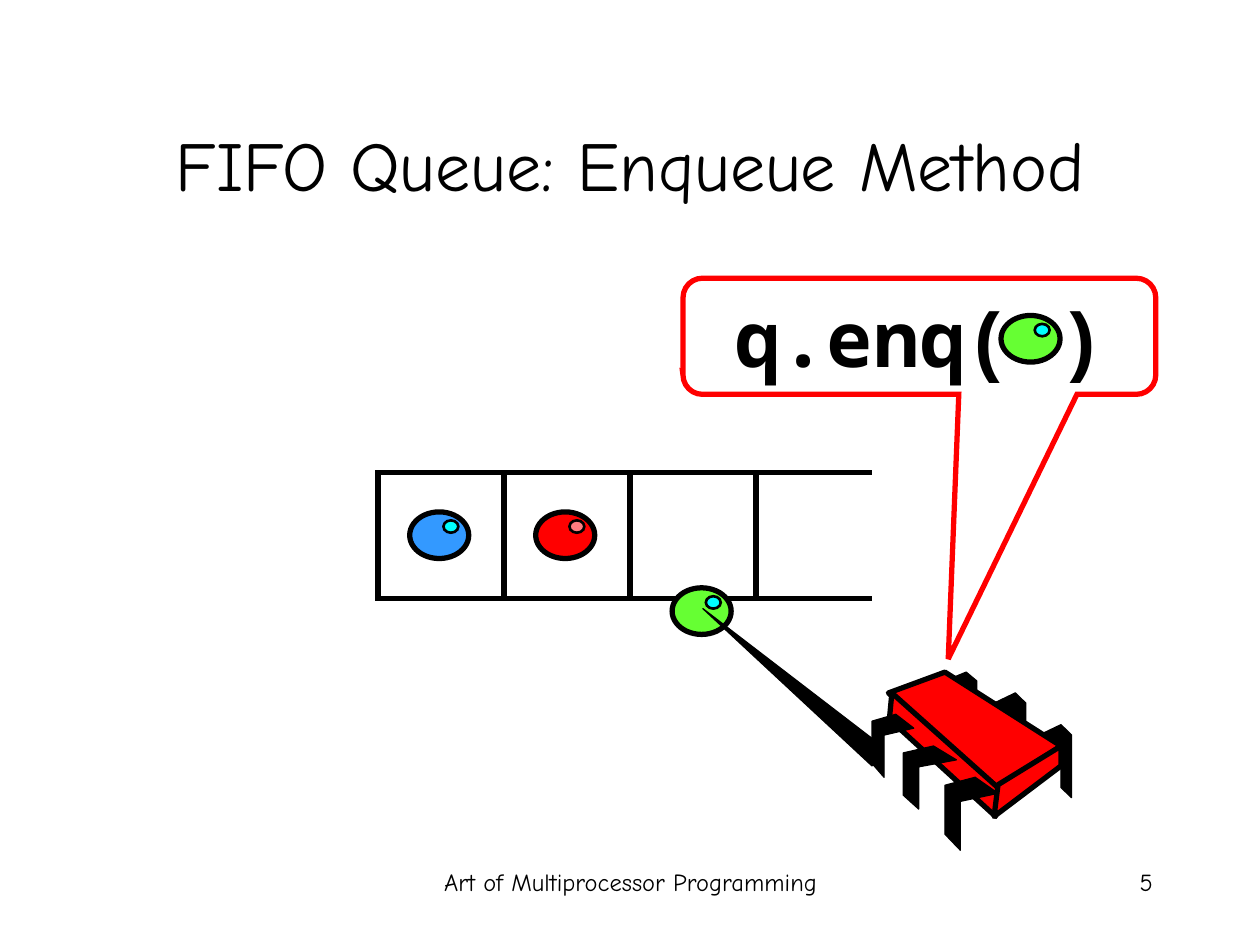
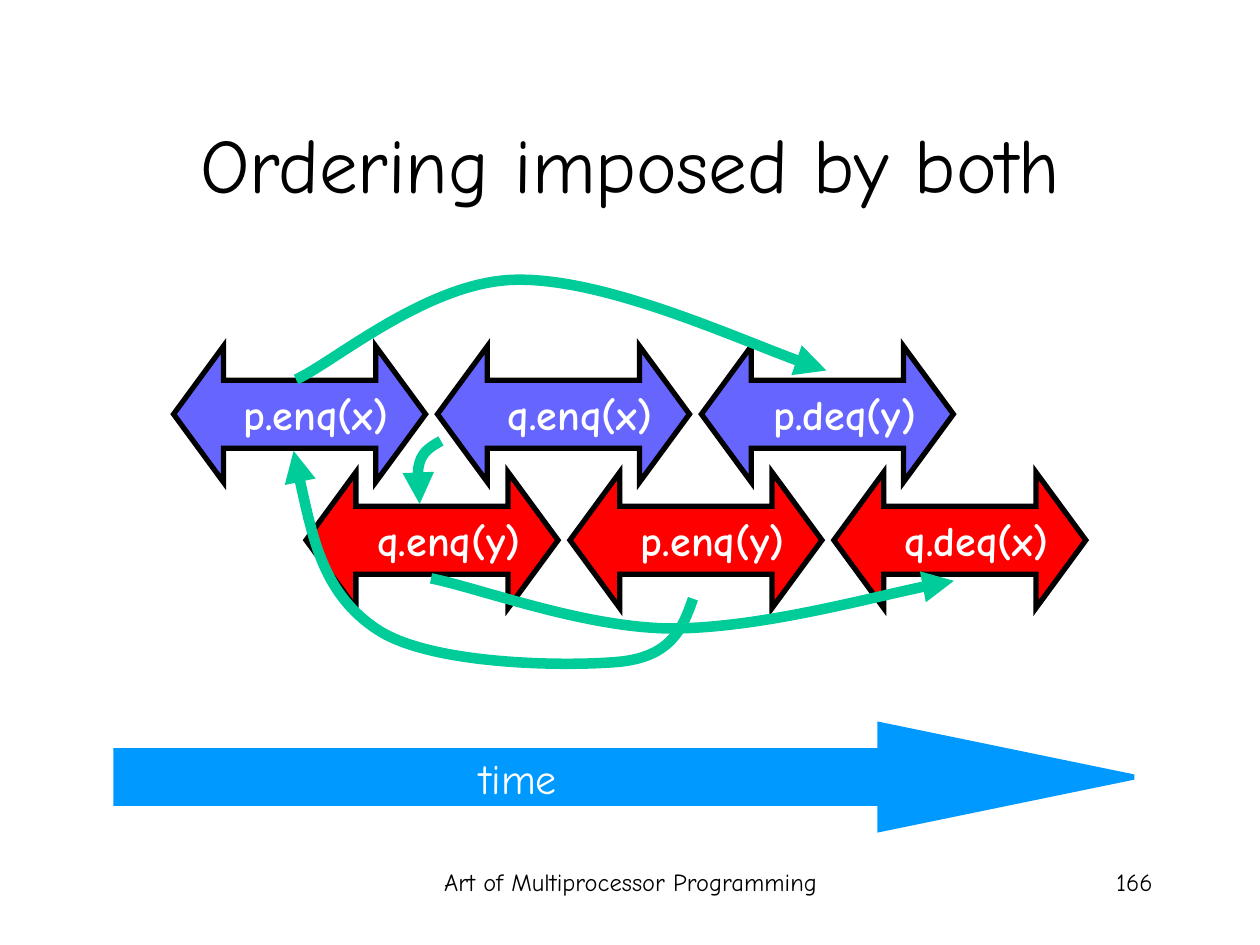
"""Build two slides on FIFO queues: the enqueue method and the ordering of calls."""
from dataclasses import dataclass

from lxml import etree
from pptx import Presentation
from pptx.dml.color import RGBColor
from pptx.enum.shapes import MSO_CONNECTOR, MSO_SHAPE
from pptx.enum.text import MSO_ANCHOR, PP_ALIGN
from pptx.oxml.ns import qn
from pptx.util import Cm, Pt

ELLIPSE, RECTANGLE = MSO_SHAPE.OVAL, MSO_SHAPE.RECTANGLE
CALLOUT = MSO_SHAPE.ROUNDED_RECTANGULAR_CALLOUT
DOUBLE_ARROW, RIGHT_ARROW = MSO_SHAPE.LEFT_RIGHT_ARROW, MSO_SHAPE.RIGHT_ARROW
STRAIGHT = MSO_CONNECTOR.STRAIGHT
LEFT, CENTER, RIGHT = PP_ALIGN.LEFT, PP_ALIGN.CENTER, PP_ALIGN.RIGHT
TOP, MIDDLE = MSO_ANCHOR.TOP, MSO_ANCHOR.MIDDLE


@dataclass(frozen=True)
class Theme:
    black: str = "000000"
    white: str = "FFFFFF"
    red: str = "FF0000"
    pink: str = "FF7C80"
    blue: str = "3399FF"
    cyan: str = "00FFFF"
    green: str = "66FF33"
    violet: str = "6666FF"
    sky: str = "0099FF"
    teal: str = "00CC99"
    body_font: str = "Comic Neue"
    code_font: str = "Noto Sans Mono"
    bracket_font: str = "Courier New"
    footer_size: int = 14
    label_size: int = 24
    code_size: int = 44
    hairline: float = 0.75
    thin: float = 1.5
    thick: float = 3
    curve: float = 6


THEME = Theme()

FOOTER = "Art of Multiprocessor Programming"
FOOTER_BOX = (8.69, 17.35, 8.05, 1.27)
NUMBER_BOX = (18.21, 17.35, 5.28, 1.27)
TITLE_BOX = (1.91, 1.7, 21.59, 3.18)

ENQUEUE = {"title": "FIFO Queue: Enqueue Method", "size": 40, "number": "5"}
ORDERING = {"title": "Ordering imposed by both", "size": 44, "number": "166"}

CELL = 2.54
CELL_COUNT = 3
QUEUE_LEFT, QUEUE_TOP = 7.62, 9.52
RAIL_LEFT = 15.04
MARBLE_IN_CELL = (0.64, 0.8)
QUEUED_MARBLES = [(THEME.blue, THEME.cyan), (THEME.red, THEME.pink)]
NEW_MARBLE_AT = (13.55, 11.85)
CALL_MARBLE_AT = (20.18, 6.36)
CALL_BOX = (13.77, 5.61, 9.53, 2.34)
CALL_RUNS = [("q.enq", THEME.code_font), ("( )", THEME.bracket_font)]

BACK_LEG = [(0, 0.14), (0.67, 0), (1, 0.14), (1, 1), (0.67, 0.86), (0.67, 0.29), (0, 0.43)]
FRONT_LEG = [(0.57, 0), (1, 0.22), (0.29, 0.33), (0.29, 1), (0, 0.78), (0, 0.11)]
BACK_LEG_BOXES = [(20.96, 14.61, 0.64, 1.47), (20.04, 13.97, 0.64, 1.47), (19.05, 13.55, 0.64, 1.27)]
FRONT_LEG_BOXES = [(19.05, 15.67, 1.07, 1.47), (18.21, 15.04, 1.07, 1.27), (17.58, 14.4, 0.84, 1.27)]
BODY_FACES = [
    [(19.05, 13.55), (21.39, 15.04), (20.07, 15.9), (17.91, 13.97)],
    [(17.98, 13.97), (20.12, 15.88), (20.07, 16.46), (17.93, 14.5)],
    [(21.39, 15.04), (21.39, 15.44), (20.04, 16.46), (20.12, 15.82)],
]
ARM = [(17.58, 15.44), (17.78, 15.04), (14.17, 12.27)]

INTERVAL_SIZE = (5.08, 2.74)
INTERVAL_STEP = 5.32
THREADS = [
    (3.5, 6.98, THEME.violet, ["p.enq(x)", "q.enq(x)", "p.deq(y)"]),
    (6.17, 9.52, THEME.red, ["q.enq(y)", "p.enq(y)", "q.deq(x)"]),
]
TIME_ARROW_BOX = (2.34, 14.61, 20.52, 2.11)
TIME_LABEL_BOX = (9.42, 15.04, 2.06, 1.27)
ORDER_CURVES = [
    [(8.46, 10.16), (8.43, 9.86), (8.41, 9.53), (8.46, 9.32),
     (8.53, 9.09), (8.71, 8.99), (8.89, 8.89)],
    [(19.23, 11.71), (18.26, 11.86), (15.27, 12.67), (13.51, 12.67),
     (11.76, 12.65), (9.68, 11.86), (8.69, 11.66)],
    [(16.66, 7.47), (15.62, 7.16), (12.19, 5.61), (10.41, 5.64),
     (8.64, 5.66), (6.71, 7.32), (5.97, 7.65)],
    [(5.92, 9.09), (6.22, 10.54), (6.53, 11.99), (7.62, 12.7),
     (8.71, 13.41), (11.43, 13.44), (12.5, 13.34),
     (13.54, 13.23), (13.77, 12.65), (13.97, 12.07)],
]


def lengths(values):
    return [Cm(value) for value in values]


def write_text(shape, runs, size, color=THEME.black, bold=False, align=LEFT, anchor=TOP, wrap=True):
    frame = shape.text_frame
    frame.word_wrap = wrap
    frame.vertical_anchor = anchor
    paragraph = frame.paragraphs[0]
    paragraph.alignment = align
    for text, font_name in runs:
        run = paragraph.add_run()
        run.text = text
        run.font.name = font_name
        run.font.size = Pt(size)
        run.font.bold = bold
        run.font.color.rgb = RGBColor.from_string(color)


def add_text(slide, box, text, size, **text_format):
    shape = slide.shapes.add_textbox(*lengths(box))
    write_text(shape, [(text, THEME.body_font)], size, **text_format)


def style_shape(shape, fill, line, width):
    shape.shadow.inherit = False
    if fill:
        shape.fill.solid()
        shape.fill.fore_color.rgb = RGBColor.from_string(fill)
    else:
        shape.fill.background()
    shape.line.color.rgb = RGBColor.from_string(line)
    shape.line.width = Pt(width)


def add_shape(shapes, kind, box, fill=None, line=THEME.black, width=THEME.thick, adjustments=()):
    shape = shapes.add_shape(kind, *lengths(box))
    style_shape(shape, fill, line, width)
    etree.SubElement(shape.line._get_or_add_ln(), qn("a:miter"), lim="800000")
    for index, value in enumerate(adjustments):
        shape.adjustments[index] = value
    return shape


def add_outline(shapes, points, fill=None, line=THEME.black, width=THEME.thick, close=True):
    start, *others = [lengths(point) for point in points]
    builder = shapes.build_freeform(*start)
    builder.add_line_segments(others, close=close)
    shape = builder.convert_to_shape()
    style_shape(shape, fill, line, width)
    return shape


def add_curved_arrow(shapes, points):
    shape = add_outline(shapes, points, line=THEME.teal, width=THEME.curve, close=False)
    segments = list(shape.element.iter(qn("a:lnTo")))
    for first in range(0, len(segments), 3):
        curve = etree.SubElement(segments[first].getparent(), qn("a:cubicBezTo"))
        for segment in segments[first:first + 3]:
            curve.append(segment[0])
            segment.getparent().remove(segment)
    etree.SubElement(shape.line._get_or_add_ln(), qn("a:headEnd"), type="triangle")


def add_rail(slide, top):
    rail = slide.shapes.add_connector(STRAIGHT, *lengths((RAIL_LEFT, top, RAIL_LEFT + CELL, top)))
    rail.line.color.rgb = RGBColor.from_string(THEME.black)
    rail.line.width = Pt(THEME.thick)
    etree.SubElement(rail.element.spPr, qn("a:effectLst"))


def add_marble(slide, left, top, color, shine):
    shapes = slide.shapes.add_group_shape().shapes
    add_shape(shapes, ELLIPSE, (left, top, 1.19, 0.94), fill=color)
    add_shape(shapes, ELLIPSE, (left + 0.68, top + 0.17, 0.3, 0.25), fill=shine, width=THEME.thin)


def add_legs(shapes, outline, boxes):
    for left, top, width, height in boxes:
        points = [(left + x * width, top + y * height) for x, y in outline]
        add_outline(shapes, points, fill=THEME.black, width=THEME.hairline)


def add_robot(slide):
    shapes = slide.shapes.add_group_shape().shapes
    add_legs(shapes, BACK_LEG, BACK_LEG_BOXES)
    for face in BODY_FACES:
        add_outline(shapes, face, fill=THEME.red)
    add_legs(shapes, FRONT_LEG, FRONT_LEG_BOXES)
    add_outline(slide.shapes, ARM, fill=THEME.black, width=THEME.hairline)


def add_slide(presentation, heading):
    slide = presentation.slides.add_slide(presentation.slide_layouts[6])
    add_text(slide, FOOTER_BOX, FOOTER, THEME.footer_size, align=CENTER)
    add_text(slide, NUMBER_BOX, heading["number"], THEME.footer_size, align=RIGHT)
    add_text(slide, TITLE_BOX, heading["title"], heading["size"], align=CENTER, anchor=MIDDLE)
    return slide


def build_enqueue(presentation):
    slide = add_slide(presentation, ENQUEUE)
    for index in range(CELL_COUNT):
        add_shape(slide.shapes, RECTANGLE, (QUEUE_LEFT + index * CELL, QUEUE_TOP, CELL, CELL))
    for top in (QUEUE_TOP, QUEUE_TOP + CELL):
        add_rail(slide, top)
    inset_left, inset_top = MARBLE_IN_CELL
    for index, colors in enumerate(QUEUED_MARBLES):
        add_marble(slide, QUEUE_LEFT + index * CELL + inset_left, QUEUE_TOP + inset_top, *colors)
    add_marble(slide, *NEW_MARBLE_AT, THEME.green, THEME.cyan)
    add_robot(slide)
    callout = add_shape(slide.shapes, CALLOUT, CALL_BOX, line=THEME.red, adjustments=(0.061, 2.78, 0.167))
    write_text(callout, CALL_RUNS, THEME.code_size, bold=True, align=CENTER, anchor=MIDDLE)
    add_marble(slide, *CALL_MARBLE_AT, THEME.green, THEME.cyan)


def build_ordering(presentation):
    slide = add_slide(presentation, ORDERING)
    for left, top, color, calls in THREADS:
        for index, call in enumerate(calls):
            box = (left + index * INTERVAL_STEP, top, *INTERVAL_SIZE)
            interval = add_shape(slide.shapes, DOUBLE_ARROW, box, fill=color, adjustments=(0.5, 0.367))
            write_text(interval, [(call, THEME.body_font)], THEME.label_size, color=THEME.white,
                       bold=True, align=RIGHT, anchor=MIDDLE, wrap=False)
    add_shape(slide.shapes, RIGHT_ARROW, TIME_ARROW_BOX, fill=THEME.sky, line=THEME.sky,
              adjustments=(0.5, 2.425))
    add_text(slide, TIME_LABEL_BOX, "time", THEME.label_size, color=THEME.white, align=RIGHT, wrap=False)
    for points in ORDER_CURVES:
        add_curved_arrow(slide.shapes, points)


def main():
    presentation = Presentation()
    presentation.slide_width, presentation.slide_height = Cm(25.4), Cm(19.05)
    build_enqueue(presentation)
    build_ordering(presentation)
    presentation.save("out.pptx")


if __name__ == "__main__":
    main()
